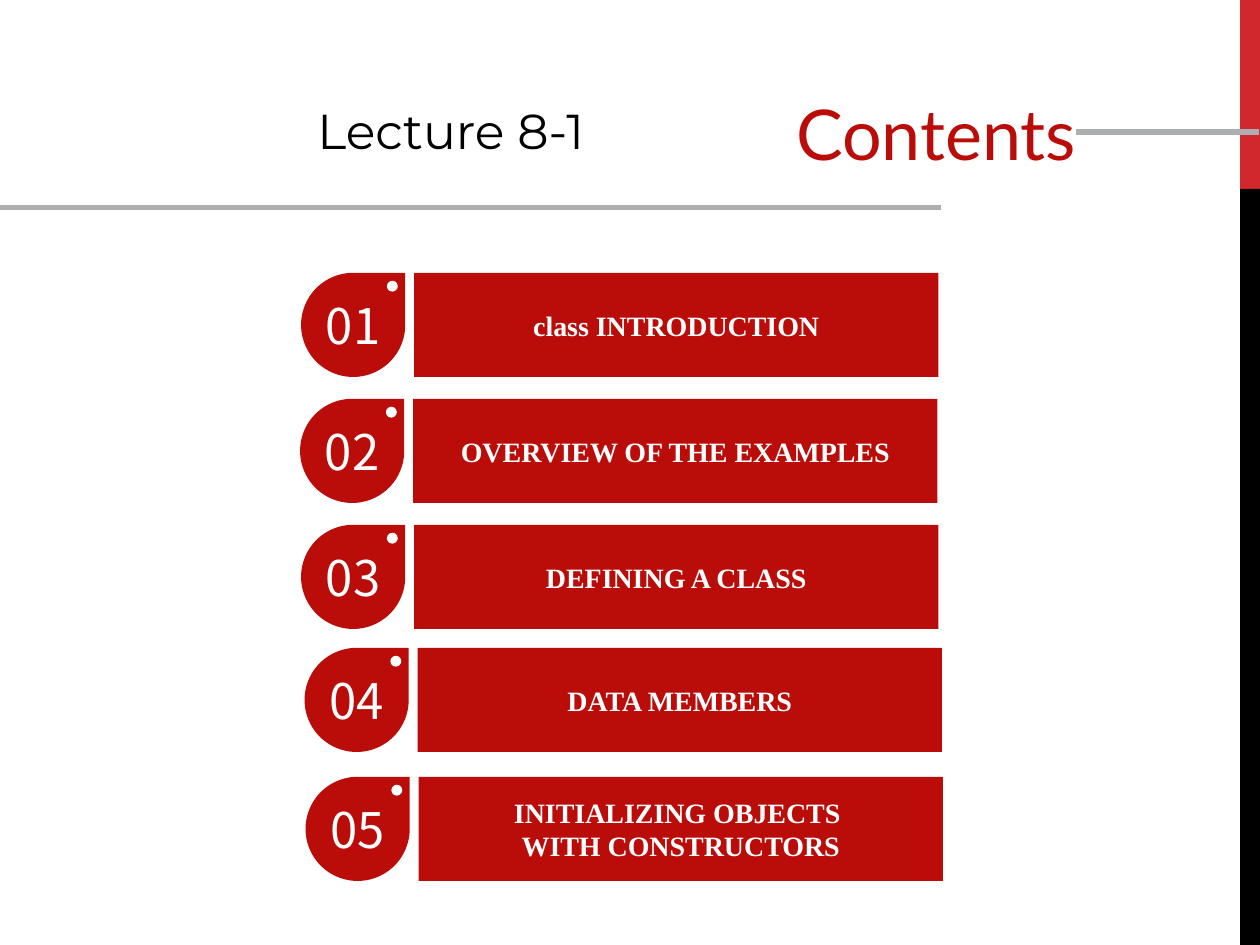
from pptx import Presentation
from pptx.dml.color import RGBColor
from pptx.enum.shapes import MSO_CONNECTOR, MSO_SHAPE
from pptx.enum.text import MSO_ANCHOR, MSO_AUTO_SIZE, PP_ALIGN
from pptx.oxml.ns import qn
from pptx.util import Cm, Pt
from lxml.etree import SubElement

RED, GRAY, WHITE, BLACK = "BA0D09", "ACAEB0", "FFFFFF", "000000"


def add_block(kind, x, y, w, h, color):
    sp = s.shapes.add_shape(kind, Cm(x), Cm(y), Cm(w), Cm(h))
    sp.shadow.inherit = False
    sp.fill.solid()
    sp.fill.fore_color.rgb = RGBColor.from_string(color)
    sp.line.fill.background()
    return sp


def set_text(sp, text, font, size, color, align, bold=False):
    tf = sp.text_frame
    tf.text = text
    for p in tf.paragraphs:
        p.alignment = align
        p.font.name = font
        p.font.size = Pt(size)
        p.font.bold = bold
        p.font.color.rgb = RGBColor.from_string(color)
    return tf


prs = Presentation()
prs.slide_width, prs.slide_height = Cm(25.4), Cm(19.05)
s = prs.slides.add_slide(prs.slide_layouts[5])

# Right edge band
add_block(MSO_SHAPE.RECTANGLE, 25, 0, 0.4, 3.81, "D1282E")
add_block(MSO_SHAPE.RECTANGLE, 25, 3.81, 0.4, 15.24, BLACK)

# Title
title = s.shapes.title
title.left, title.top, title.width, title.height = Cm(12.73), Cm(1.83), Cm(9.22), Cm(2.95)
tf = set_text(title, "Contents", "Lato", 40, RED, PP_ALIGN.RIGHT)
tf.auto_size = MSO_AUTO_SIZE.NONE
tf.vertical_anchor = MSO_ANCHOR.TOP
tf.margin_top = 0

# Lecture number
box = s.shapes.add_textbox(Cm(6.15), Cm(1.9), Cm(6.73), Cm(1.45))
tf = set_text(box, "Lecture 8-1", "Montserrat", 28, BLACK, PP_ALIGN.LEFT)
tf.word_wrap = False

# Rules beside the title and below it
for x1, x2, y in [(21.7, 25.38, 2.66), (0, 18.97, 4.18)]:
    line = s.shapes.add_connector(MSO_CONNECTOR.STRAIGHT, Cm(x1), Cm(y), Cm(x2), Cm(y))
    line.line.color.rgb = RGBColor.from_string(GRAY)
    line.line.width = Pt(3)
    SubElement(line._element.spPr, qn("a:effectLst"))

# Contents rows: numbered drop with a dot, then a bar
rows = [
    (6.07, 5.5, "class INTRODUCTION"),
    (6.05, 8.04, "OVERVIEW OF THE EXAMPLES"),
    (6.07, 10.58, "DEFINING A CLASS"),
    (6.14, 13.06, "DATA MEMBERS"),
    (6.16, 15.66, "INITIALIZING OBJECTS \nWITH CONSTRUCTORS"),
]
for i, (x, y, topic) in enumerate(rows, 1):
    drop = add_block(MSO_SHAPE.TEAR, x, y, 2.1, 2.1, RED)
    tf = set_text(drop, f"{i:02d}", "Noto Sans CJK JP", 28, WHITE, PP_ALIGN.CENTER)
    tf.margin_left = tf.margin_right = tf.margin_top = tf.margin_bottom = 0
    tf.vertical_anchor = MSO_ANCHOR.MIDDLE
    tf.word_wrap = False
    add_block(MSO_SHAPE.OVAL, x + 1.73, y + 0.16, 0.22, 0.22, WHITE)

    bar = add_block(MSO_SHAPE.RECTANGLE, x + 2.28, y, 10.57, 2.1, RED)
    tf = set_text(bar, topic, "Times New Roman", 16, WHITE, PP_ALIGN.CENTER, bold=True)
    tf.vertical_anchor = MSO_ANCHOR.MIDDLE

prs.save("out.pptx")
